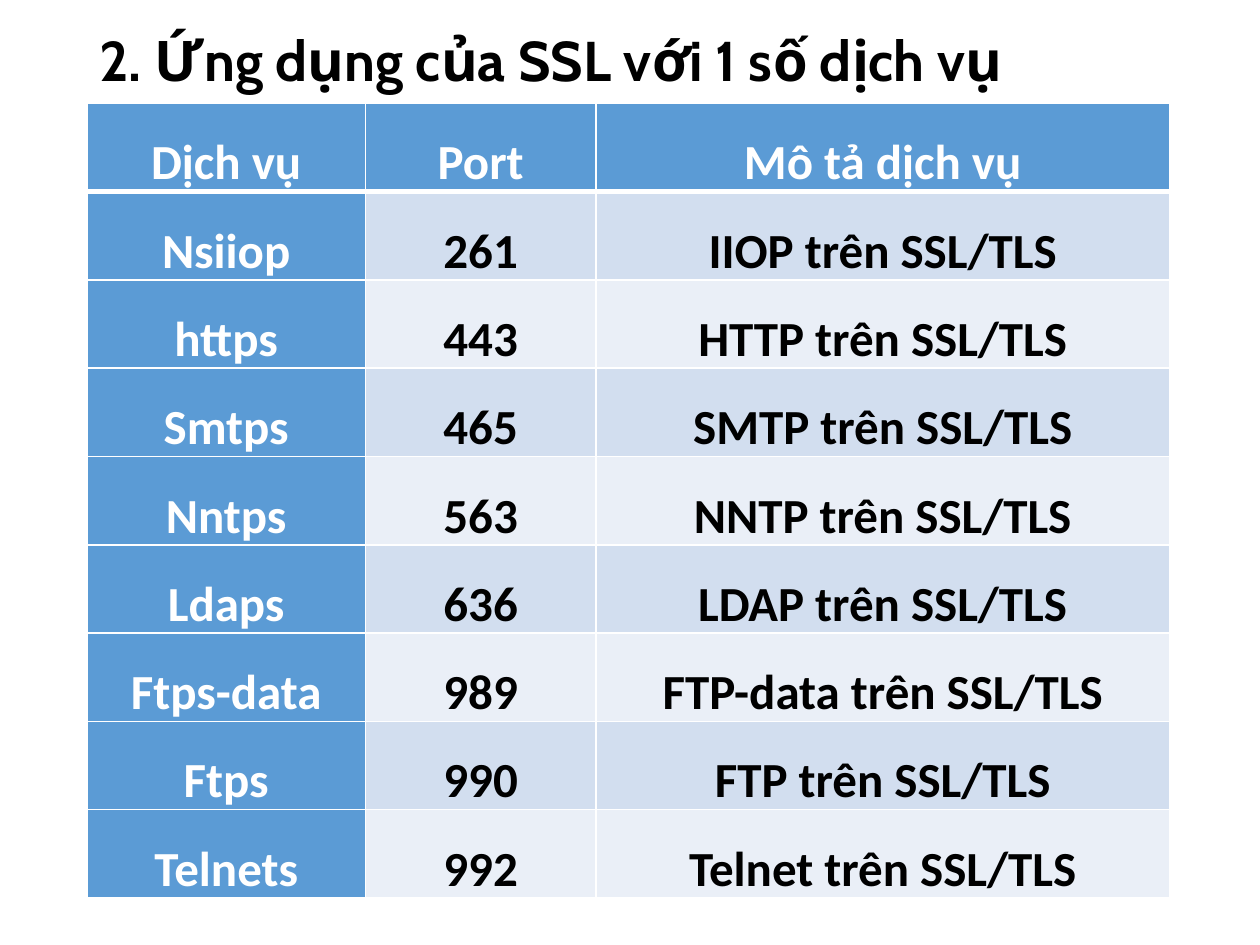
from dataclasses import dataclass

from lxml.etree import SubElement
from pptx import Presentation
from pptx.dml.color import RGBColor as RGB
from pptx.enum.text import MSO_ANCHOR as Anchor, PP_ALIGN as Align
from pptx.oxml.ns import qn
from pptx.util import Inches, Pt


@dataclass(frozen=True)
class Theme:
    ink: str = "000000"
    paper: str = "FFFFFF"
    accent: str = "5B9BD5"
    bands: tuple = ("D2DEEF", "EAEFF7")
    title_font: str = "Cabin"
    table_font: str = "Calibri"
    title_size: int = 32
    table_size: int = 28
    thin_rule: int = 1
    header_rule: int = 3


SERVICES = [
    ("Nsiiop", 261, "IIOP"),
    ("https", 443, "HTTP"),
    ("Smtps", 465, "SMTP"),
    ("Nntps", 563, "NNTP"),
    ("Ldaps", 636, "LDAP"),
    ("Ftps-data", 989, "FTP-data"),
    ("Ftps", 990, "FTP"),
    ("Telnets", 992, "Telnet"),
]


def write_text(frame, text, *, font, size, color, align=Align.LEFT,
               line_spacing=1.0, space_after=0):
    paragraph = frame.paragraphs[0]
    paragraph.alignment = align
    paragraph.line_spacing = line_spacing
    paragraph.space_after = Pt(space_after)
    run = paragraph.add_run()
    run.text = text
    run.font.name = font
    run.font.size = Pt(size)
    run.font.bold = True
    run.font.color.rgb = RGB.from_string(color)


class SlideBuilder:
    def __init__(self, slide, theme):
        self.slide = slide
        self.theme = theme

    def title(self, text, left, top, width, height):
        box = self.slide.shapes.add_textbox(
            Inches(left), Inches(top), Inches(width), Inches(height))
        frame = box.text_frame
        frame.word_wrap = True
        # The heading sits on the middle of its box, clear of the table
        frame.vertical_anchor = Anchor.BOTTOM
        frame.margin_bottom = Inches(height / 2)
        write_text(frame, text, font=self.theme.title_font,
                   size=self.theme.title_size, color=self.theme.ink,
                   line_spacing=0.9)

    def table(self, rows, left, top, column_widths, row_height):
        table = self.slide.shapes.add_table(
            len(rows), len(column_widths), Inches(left), Inches(top),
            Inches(sum(column_widths)), Inches(row_height * len(rows))).table
        for column, width in zip(table.columns, column_widths):
            column.width = Inches(width)
        for r, row in enumerate(rows):
            for c, text in enumerate(row):
                self.cell(table.cell(r, c), text, r, c)

    def cell(self, cell, text, row, column):
        theme = self.theme
        is_heading = row == 0 or column == 0
        cell.margin_left = cell.margin_right = 0
        cell.margin_top = cell.margin_bottom = 0
        # Borders come before the fill in the cell properties
        self.borders(cell, row)
        cell.fill.solid()
        cell.fill.fore_color.rgb = RGB.from_string(
            theme.accent if is_heading else theme.bands[(row - 1) % 2])
        write_text(cell.text_frame, text, font=theme.table_font,
                   size=theme.table_size,
                   color=theme.paper if is_heading else theme.ink,
                   align=Align.CENTER, line_spacing=1.5, space_after=8)

    def borders(self, cell, row):
        properties = cell._tc.get_or_add_tcPr()
        thick_side = {0: "lnB", 1: "lnT"}.get(row)
        for side in ("lnL", "lnR", "lnT", "lnB"):
            weight = (self.theme.header_rule if side == thick_side
                      else self.theme.thin_rule)
            line = SubElement(properties, qn(f"a:{side}"), w=str(Pt(weight)))
            fill = SubElement(line, qn("a:solidFill"))
            SubElement(fill, qn("a:srgbClr"), val=self.theme.paper)


def main():
    presentation = Presentation()
    presentation.slide_width = Inches(10)
    presentation.slide_height = Inches(7.5)
    slide = presentation.slides.add_slide(presentation.slide_layouts[6])
    builder = SlideBuilder(slide, Theme())

    # Heading
    builder.title("2. Ứng dụng của SSL với 1 số dịch vụ", 0.69, 0.4, 9.31, 0.68)

    # Services and their ports
    header = ("Dịch vụ", "Port", "Mô tả dịch vụ")
    body = [(service, str(port), f"{protocol} trên SSL/TLS")
            for service, port, protocol in SERVICES]
    builder.table([header, *body], left=0.69, top=0.82,
                  column_widths=(2.21, 1.83, 4.55), row_height=0.66)

    presentation.save("out.pptx")


if __name__ == "__main__":
    main()
